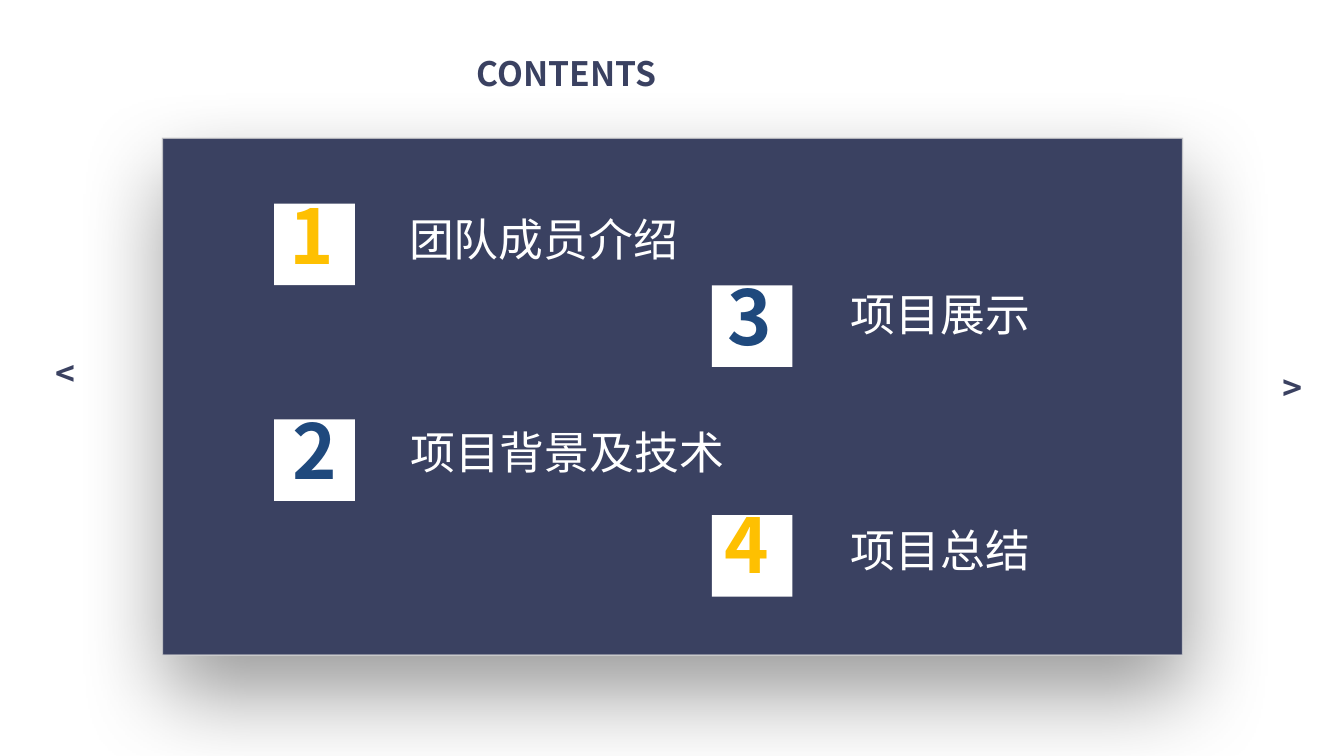
import pptx
import pptx.dml.color
import pptx.enum.shapes
import pptx.enum.text
import pptx.oxml
import pptx.oxml.ns
import pptx.util
from lxml import etree

Inches = pptx.util.Inches
FONT = "Noto Sans CJK SC"
NAVY, WHITE, GOLD, BLUE = "3A4161", "FFFFFF", "FEC001", "1F497D"
qn = pptx.oxml.ns.qn


def set_text(shape, text, size, color, bold=True):
    frame = shape.text_frame
    frame.text = text
    frame.word_wrap = True
    frame.auto_size = pptx.enum.text.MSO_AUTO_SIZE.NONE
    frame.vertical_anchor = pptx.enum.text.MSO_ANCHOR.TOP
    paragraph = frame.paragraphs[0]
    paragraph.alignment = pptx.enum.text.PP_ALIGN.LEFT
    paragraph.line_spacing = 0.88
    font = paragraph.runs[0].font
    font.name = FONT
    font.size = pptx.util.Pt(size)
    font.bold = bold
    font.color.rgb = pptx.dml.color.RGBColor.from_string(color)
    # Chinese characters take the East Asian typeface
    etree.SubElement(paragraph.runs[0].font._element, qn("a:ea"), typeface=FONT)


def add_rectangle(left, top, width, height, color):
    shape = slide.shapes.add_shape(
        pptx.enum.shapes.MSO_SHAPE.RECTANGLE,
        Inches(left), Inches(top), Inches(width), Inches(height))
    shape.shadow.inherit = False
    shape.fill.solid()
    shape.fill.fore_color.rgb = pptx.dml.color.RGBColor.from_string(color)
    shape.line.fill.background()
    return shape


presentation = pptx.Presentation()
presentation.slide_width = Inches(13.33)
presentation.slide_height = Inches(7.5)
slide = presentation.slides.add_slide(presentation.slide_layouts[5])

# Title
title = slide.shapes.title
title.left, title.top = Inches(4.63), Inches(0.53)
title.width, title.height = Inches(4.08), Inches(0.5)
set_text(title, "CONTENTS", 24, NAVY)
title.text_frame.paragraphs[0].alignment = pptx.enum.text.PP_ALIGN.JUSTIFY

# Panel with a translucent outline and a soft shadow
panel = add_rectangle(1.61, 1.37, 10.12, 5.13, NAVY)
panel.line.color.rgb = pptx.dml.color.RGBColor.from_string("D9D9D9")
panel.line.width = pptx.util.Pt(1)
line_color = panel.line._ln.find(".//" + qn("a:srgbClr"))
etree.SubElement(line_color, qn("a:alpha"), val="74000")
effects = panel._element.spPr.find(qn("a:effectLst"))
shadow = etree.SubElement(
    effects, qn("a:outerShdw"), blurRad=str(pptx.util.Pt(64)),
    dist=str(pptx.util.Pt(27)), dir=str(85 * 60000), algn="t", rotWithShape="0")
shadow_color = etree.SubElement(shadow, qn("a:srgbClr"), val="000000")
etree.SubElement(shadow_color, qn("a:alpha"), val="40000")

# Arrows at both sides
for left, top, rotation in [(0.45, 3.5, 0), (12.59, 3.56, 180)]:
    arrow = slide.shapes.add_textbox(
        Inches(left), Inches(top), Inches(0.43), Inches(0.5))
    arrow.rotation = rotation
    set_text(arrow, "<", 24, NAVY)

# Entries: tile corner, number place and colour, label place and width
entries = [
    ("1", 2.72, 2.02, 2.77, 1.94, GOLD, "团队成员介绍", 3.96, 2.12, 2.93),
    ("2", 2.72, 4.16, 2.8, 4.07, BLUE, "项目背景及技术", 3.97, 4.23, 3.95),
    ("3", 7.06, 2.83, 7.12, 2.74, BLUE, "项目展示", 8.34, 2.86, 2.03),
    ("4", 7.06, 5.11, 7.09, 5.01, GOLD, "项目总结", 8.34, 5.21, 3.77),
]
for (number, tile_left, tile_top, number_left, number_top, color,
     label, label_left, label_top, label_width) in entries:
    add_rectangle(tile_left, tile_top, 0.8, 0.81, WHITE)
    number_box = slide.shapes.add_textbox(
        Inches(number_left), Inches(number_top), Inches(0.8), Inches(1.01))
    set_text(number_box, number, 54, color)
    label_box = slide.shapes.add_textbox(
        Inches(label_left), Inches(label_top), Inches(label_width), Inches(0.64))
    set_text(label_box, label, 32, WHITE, bold=False)

presentation.save("out.pptx")
